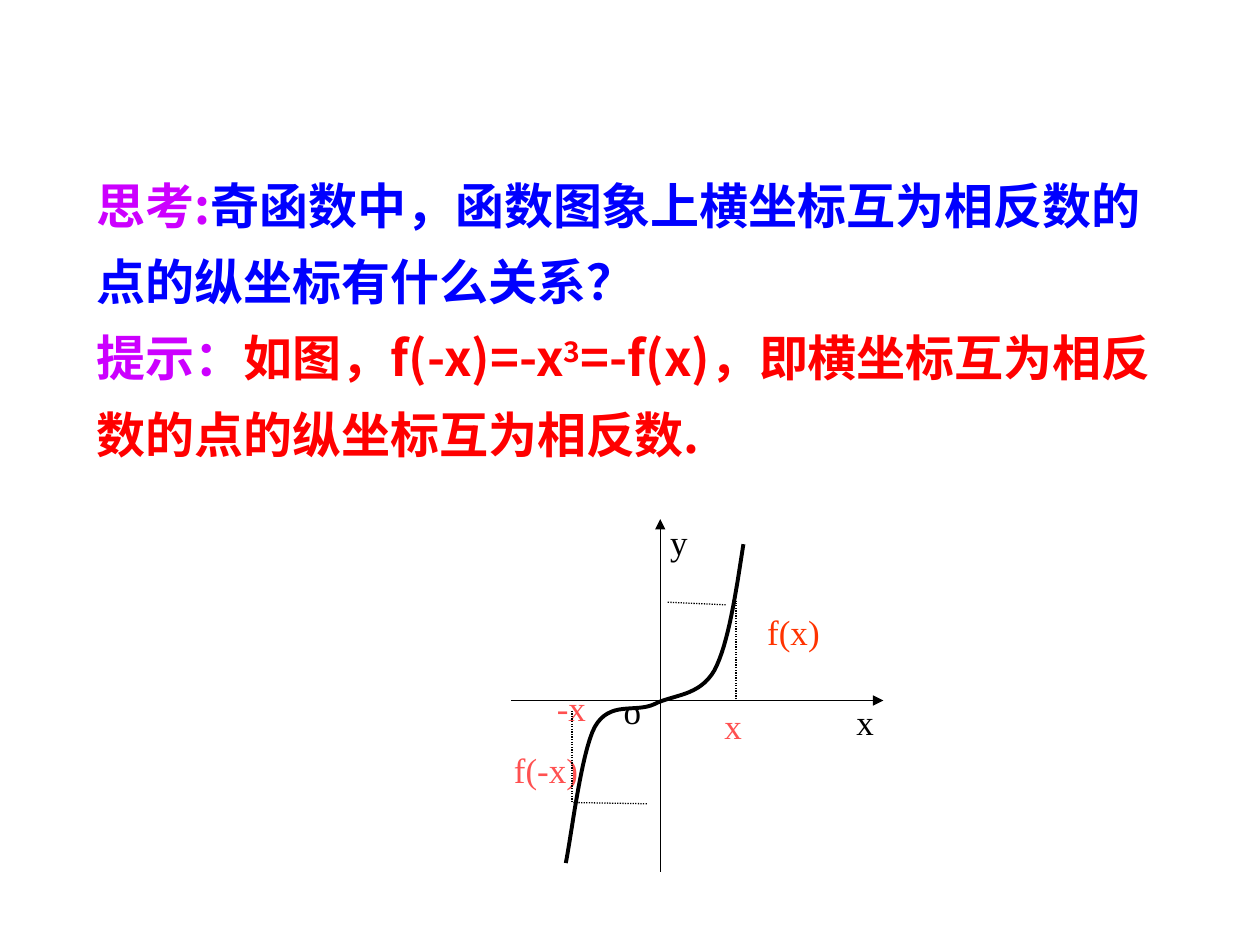
from lxml import etree
from pptx import Presentation
from pptx.dml.color import RGBColor
from pptx.enum import dml, shapes, text
from pptx.oxml import ns
from pptx.util import Pt

HUES = {"ink": "000000", "head": "CC00FF", "ask": "0000FF", "hint": "FF0000",
        "pink": "FF5050", "value": "FF3300"}
SANS, SERIF = "Noto Sans CJK SC", "Times New Roman"


def color(name):
    return RGBColor.from_string(HUES[name])


def write(slide, box, paras, font=SERIF, size=20, bold=False, space=1.0):
    """Place paragraphs, each a list of (words, hue, baseline) runs."""
    frame = slide.shapes.add_textbox(*map(Pt, box)).text_frame
    frame.word_wrap = True
    frame.auto_size = text.MSO_AUTO_SIZE.SHAPE_TO_FIT_TEXT
    for i, runs in enumerate(paras):
        para = frame.add_paragraph() if i else frame.paragraphs[0]
        para.line_spacing = space
        for words, hue, base in runs:
            run = para.add_run()
            run.text = words
            run.font.name, run.font.size, run.font.bold = font, Pt(size), bold
            run.font.color.rgb = color(hue)
            props = run._r.get_or_add_rPr()
            etree.SubElement(props, ns.qn("a:ea"), typeface=font)
            if base:
                props.set("baseline", str(base * 1000))


def rule(slide, start, end, arrow=False, dash=False):
    line = slide.shapes.add_connector(
        shapes.MSO_CONNECTOR.STRAIGHT, *map(Pt, (*start, *end)))
    line.line.width = Pt(0.75)
    line.line.color.rgb = color("ink")
    if dash:
        line.line.dash_style = dml.MSO_LINE.ROUND_DOT
    if arrow:
        etree.SubElement(line.line._get_or_add_ln(), ns.qn("a:tailEnd"), type="triangle")
    etree.SubElement(line._element.spPr, ns.qn("a:effectLst"))


def bezier(knots, steps=16):
    """Sample chained cubic segments; every third knot lies on the curve."""
    points = [knots[0]]
    for i in range(0, len(knots) - 1, 3):
        for k in range(1, steps + 1):
            t = k / steps
            parts = ((1 - t) ** 3, 3 * t * (1 - t) ** 2, 3 * t * t * (1 - t), t ** 3)
            points.append(tuple(
                sum(w * knot[axis] for w, knot in zip(parts, knots[i:i + 4]))
                for axis in (0, 1)))
    return points


def curve(slide, knots):
    points = [(Pt(x), Pt(y)) for x, y in bezier(knots)]
    build = slide.shapes.build_freeform(*points[0])
    build.add_line_segments(points[1:], close=False)
    shape = build.convert_to_shape()
    shape.shadow.inherit = False
    shape.fill.background()
    shape.line.width = Pt(2.25)
    shape.line.color.rgb = color("ink")


def question(slide, box):
    write(slide, box, [
        [("思考:", "head", 0),
         ("奇函数中，函数图象上横坐标互为相反数的点的纵坐标有什么关系？", "ask", 0)],
        [("提示：", "head", 0), ("如图，f(-x)=-x", "hint", 0), ("3", "hint", 30),
         ("=-f(x)，即横坐标互为相反数的点的纵坐标互为相反数.", "hint", 0)],
    ], SANS, 28, True, 1.3)


def graph(slide, left, top):
    """Draw the cubic graph with its origin at (left, top)."""
    def at(x, y):
        return left + x, top + y

    rule(slide, at(-85, 0), at(127.5, 0), arrow=True)
    rule(slide, at(0, 98), at(0, -103.7), arrow=True)
    labels = [
        ("x", "pink", 29.5, -1.4, 39), ("x", "ink", 105, -3.6, 36),
        ("y", "ink", -1.4, -106.6, 36), ("o", "ink", -28, -10, 34),
        ("-x", "pink", -66.2, -11.5, 44.6), ("f(-x)", "pink", -90.7, 23.8, 67.7),
        ("f(x)", "value", 54, -54.7, 59),
    ]
    for words, hue, x, y, wide in labels:
        write(slide, (*at(x, y), wide, 31.7), [[(words, hue, 0)]])
    knots = [
        (47.5, -89.3), (43.2, -61.2), (38.9, -32.4), (31, -17.3),
        (22.3, -2.2), (7.9, -3.6), (-3.6, 2.2),
        (-14.4, 7.2), (-28.8, 0), (-37.4, 15.1),
        (-45.4, 30.2), (-51.1, 79.9), (-54, 92.9),
    ]
    curve(slide, [at(*knot) for knot in knots])
    guides = [
        ((-49.7, 58.3), (-7.2, 59)), ((-50.4, 5.8), (-50.4, 57.6)),
        ((43.2, -0.7), (43.2, -56.9)), ((37.4, -54.7), (3.6, -56.2)),
    ]
    for start, end in guides:
        rule(slide, at(*start), at(*end), dash=True)


def main():
    deck = Presentation()
    deck.slide_width, deck.slide_height = Pt(720), Pt(540)
    slide = deck.slides.add_slide(deck.slide_layouts[6])
    question(slide, (48.2, 86.4, 622, 182))
    graph(slide, 377.3, 400.3)
    deck.save("out.pptx")


if __name__ == "__main__":
    main()
